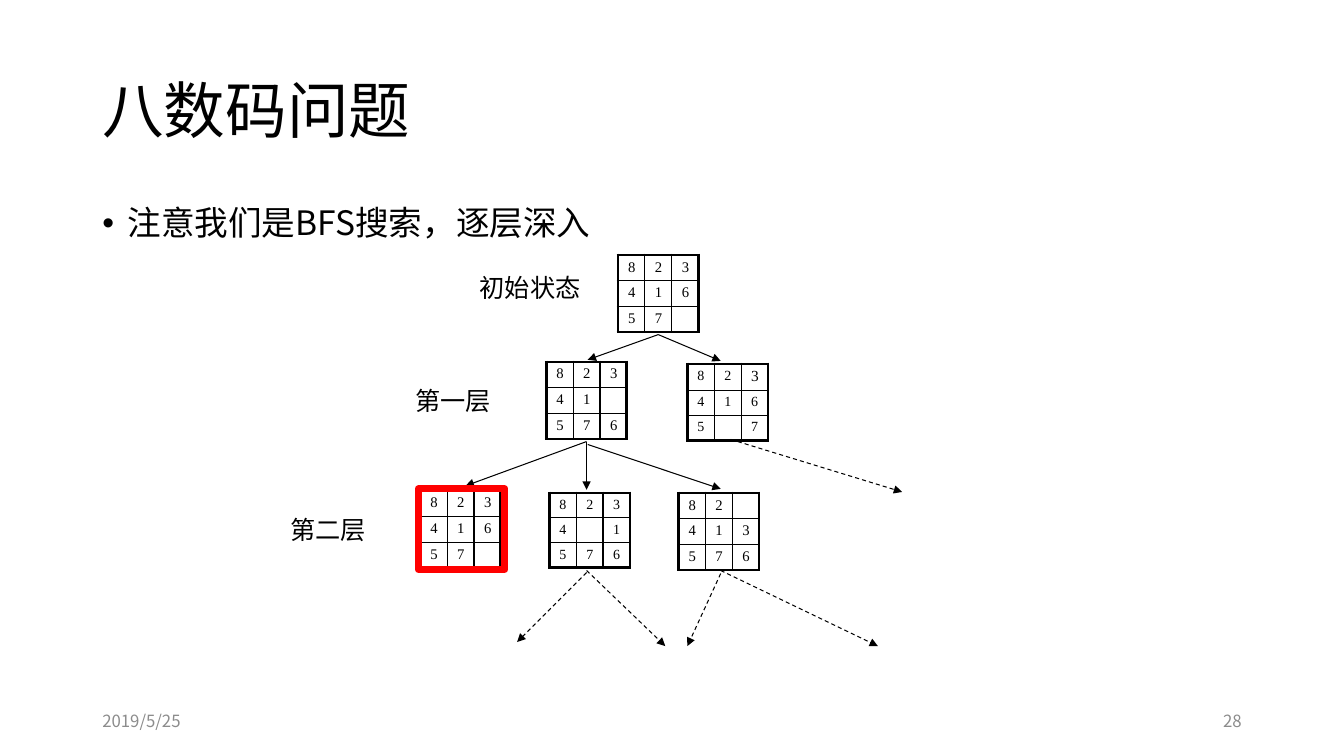
from lxml.etree import SubElement
from pptx import Presentation
from pptx.dml.color import RGBColor
from pptx.enum.dml import MSO_LINE
from pptx.enum.shapes import MSO_CONNECTOR, MSO_SHAPE
from pptx.enum.text import MSO_ANCHOR, MSO_AUTO_SIZE, PP_ALIGN
from pptx.oxml.ns import qn
from pptx.util import Pt

SANS = "Noto Sans CJK SC"
SERIF = "Times New Roman"
BLACK, GRAY, RED = "000000", "8C8C8C", "FF0000"
CELL_WIDTH, CELL_HEIGHT = 19.2, 17.6
THIN, THICK = 1, 2.25

BOARDS = [
    (241.4, 2.2, 10.5, "823 416 57_"),
    (190.2, 78.5, 10.5, "823 41_ 576"),
    (291, 79.9, 10, "823 416 5_7"),
    (284.6, 172.1, 10.5, "82_ 413 576"),
    (192.4, 172.1, 10, "823 4_1 576"),
    (100.2, 170.6, 10.5, "823 416 57_"),
]
LEVEL_LABELS = [
    (135.5, 10.8, 87.1, "初始状态"),
    (89.4, 91.4, 69.1, "第一层"),
    (0.2, 183.6, 69.1, "第二层"),
]
EXPANDED = [
    ((270.2, 59), (219.8, 77)),
    ((270.2, 59), (314.8, 77.8)),
    ((219, 135.4), (132.6, 167)),
    ((219, 135.4), (219, 169.9)),
    ((219.8, 137.5), (314.8, 169.2)),
]
PENDING = [
    ((322, 133.9), (444.4, 171.4)),
    ((219, 229), (169.4, 278.6)),
    ((219, 227.5), (275.2, 281.5)),
    ((314.8, 229.7), (291, 281.5)),
    ((314.8, 227.5), (427.1, 281.5)),
]


def color(hex_string):
    return RGBColor.from_string(hex_string)


def points(*values):
    return [Pt(value) for value in values]


def add_run(paragraph, text, size, font_name, hex_string):
    run = paragraph.add_run()
    run.text = text
    run.font.size = Pt(size)
    run.font.color.rgb = color(hex_string)
    run.font.name = font_name
    SubElement(run.font._element, qn("a:ea"), typeface=font_name)


def add_text(slide, box, text, size, hex_string=BLACK, anchor=MSO_ANCHOR.TOP, wrap=True):
    frame = slide.shapes.add_textbox(*points(*box)).text_frame
    frame.word_wrap = wrap
    frame.vertical_anchor = anchor
    if not wrap:
        frame.auto_size = MSO_AUTO_SIZE.SHAPE_TO_FIT_TEXT
    paragraph = frame.paragraphs[0]
    add_run(paragraph, text, size, SANS, hex_string)
    return paragraph


def add_heading(slide, box):
    left, top, width, height = box
    title = add_text(slide, (left, top, width, 104.4), "八数码问题", 44, anchor=MSO_ANCHOR.MIDDLE)
    title.line_spacing = 0.9
    body = add_text(slide, (left, top + 115.2, width, height - 115.2),
                    "注意我们是BFS搜索，逐层深入", 24)
    body.line_spacing = 0.9
    body.space_before = Pt(10)
    properties = body._p.get_or_add_pPr()
    properties.set("marL", str(Pt(18)))
    properties.set("indent", str(Pt(-18)))
    SubElement(properties, qn("a:buFont"), typeface="Arial")
    SubElement(properties, qn("a:buChar"), char="•")


def add_footer(slide, box):
    left, top, width, height = box
    add_text(slide, (left, top, 216, height), "2019/5/25", 12, GRAY, MSO_ANCHOR.MIDDLE)
    number = add_text(slide, (left + width - 216, top, 216, height), "28", 12, GRAY, MSO_ANCHOR.MIDDLE)
    number.alignment = PP_ALIGN.RIGHT


def set_borders(cell, row, column):
    properties = cell._tc.get_or_add_tcPr()
    outer_sides = {"lnL": column == 0, "lnR": column == 2, "lnT": row == 0, "lnB": row == 2}
    for side, is_outer in outer_sides.items():
        width = THICK if is_outer else THIN
        line = SubElement(properties, qn("a:" + side), w=str(Pt(width)))
        fill = SubElement(line, qn("a:solidFill"))
        SubElement(fill, qn("a:srgbClr"), val=BLACK)
    cell.fill.background()


def add_board(slide, left, top, size, state):
    frame = slide.shapes.add_table(3, 3, *points(left, top, 3 * CELL_WIDTH, 3 * CELL_HEIGHT))
    table = frame.table
    table.first_row = table.horz_banding = False
    for column in table.columns:
        column.width = Pt(CELL_WIDTH)
    for row, digits in enumerate(state.split()):
        table.rows[row].height = Pt(CELL_HEIGHT)
        for column, digit in enumerate(digits):
            cell = table.cell(row, column)
            cell.margin_left = cell.margin_right = Pt(7.2)
            cell.margin_top = cell.margin_bottom = Pt(2.88)
            set_borders(cell, row, column)
            paragraph = cell.text_frame.paragraphs[0]
            if digit == "_":
                SubElement(paragraph._p, qn("a:endParaRPr"), sz=str(int(size * 100)))
            else:
                add_run(paragraph, digit, size, SERIF, BLACK)
    return table


def add_arrow(slide, start, end, dashed):
    arrow = slide.shapes.add_connector(MSO_CONNECTOR.STRAIGHT, *points(*start, *end))
    arrow.line.color.rgb = color(BLACK)
    arrow.line.width = Pt(0.75)
    if dashed:
        arrow.line.dash_style = MSO_LINE.DASH
    properties = arrow._element.spPr
    SubElement(properties.find(qn("a:ln")), qn("a:tailEnd"), type="triangle")
    SubElement(properties, qn("a:effectLst"))


def add_search_tree(slide, box):
    left, top = box[:2]
    boards = [add_board(slide, left + x, top + y, size, state) for x, y, size, state in BOARDS]
    boards[2].cell(0, 2).text_frame.paragraphs[0].runs[0].font.size = Pt(11)
    for arrows, dashed in ((EXPANDED, False), (PENDING, True)):
        for start, end in arrows:
            add_arrow(slide, (left + start[0], top + start[1]), (left + end[0], top + end[1]), dashed)
    for x, y, width, text in LEVEL_LABELS:
        add_text(slide, (left + x, top + y, width, 29), text, 18, wrap=False)
    highlight = slide.shapes.add_shape(
        MSO_SHAPE.RECTANGLE, *points(left + 98.8, top + 169.2, 61.9, 57.6))
    highlight.shadow.inherit = False
    highlight.fill.background()
    highlight.line.color.rgb = color(RED)
    highlight.line.width = Pt(5)


def main():
    presentation = Presentation()
    presentation.slide_width, presentation.slide_height = points(960, 540)
    slide = presentation.slides.add_slide(presentation.slide_layouts[6])
    add_heading(slide, (66, 28.8, 828, 457.9))
    add_search_tree(slide, (200, 180, 445, 282))
    add_footer(slide, (66, 500.5, 828, 28.8))
    presentation.save("out.pptx")


if __name__ == "__main__":
    main()
